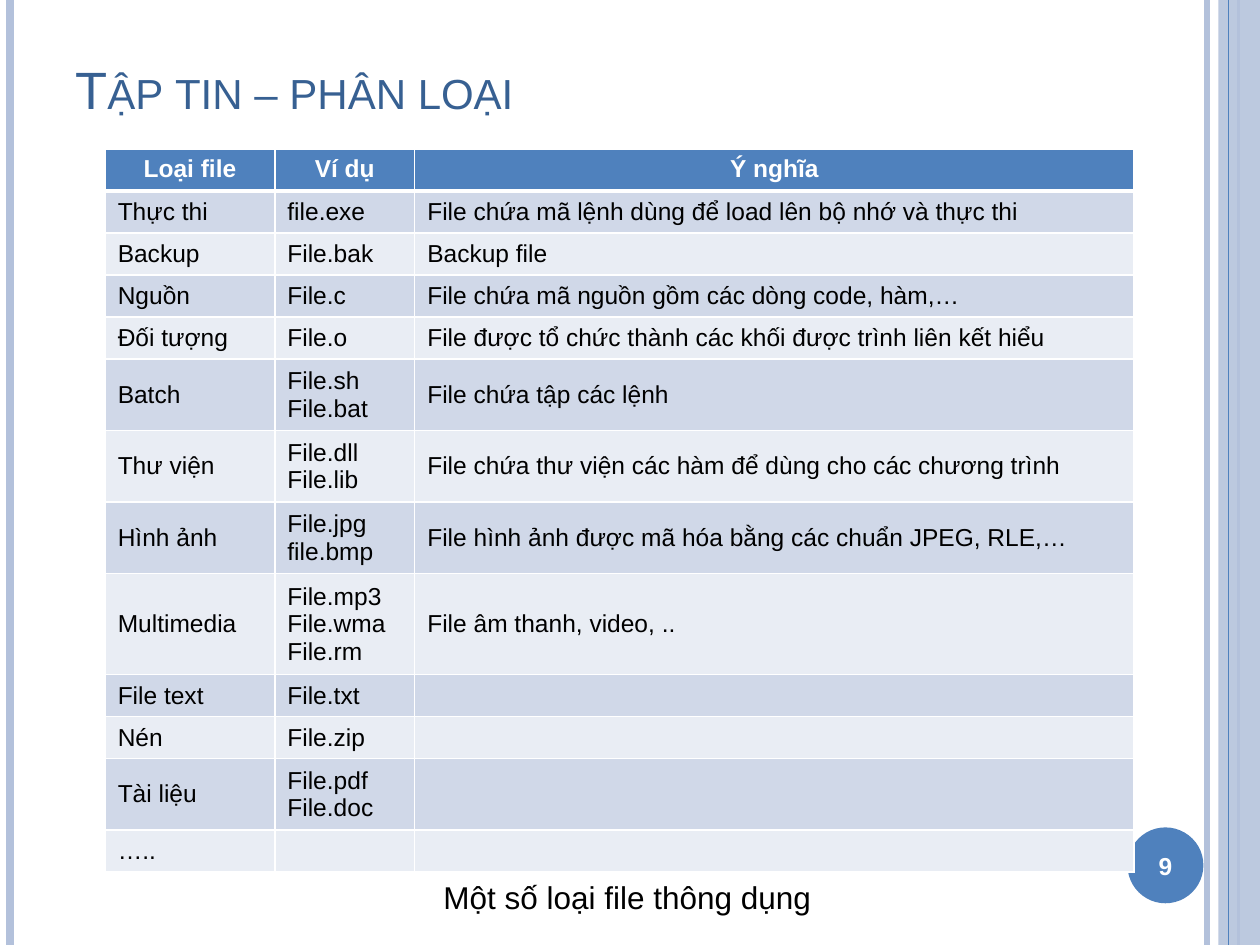
from dataclasses import dataclass

from lxml import etree
from pptx import Presentation
from pptx.dml import color
from pptx.enum import shapes, text
from pptx.oxml import ns
from pptx.util import Cm, Pt


@dataclass(frozen=True)
class Theme:
    font: str = "Arial"
    accent: str = "4F81BD"
    pale: str = "B3C1DB"
    heading: str = "376092"
    bands: tuple = ("E9EDF4", "D0D8E8")
    white: str = "FFFFFF"
    black: str = "000000"
    title_size: int = 30
    caption_size: int = 18
    body_size: int = 14


theme = Theme()


def rgb(code):
    return color.RGBColor.from_string(code)


def write(frame, wording, size, ink, bold=False, align=None):
    """Fill a text frame, one paragraph per line, and format its runs."""
    frame.text = wording
    for para in frame.paragraphs:
        para.alignment = align
        for span in para.runs:
            span.font.name = theme.font
            span.font.size = Pt(size)
            span.font.bold = bold
            span.font.color.rgb = rgb(ink)
        if not para.runs:
            # An empty cell keeps the row at the body size
            end = etree.SubElement(para._p, ns.qn("a:endParaRPr"))
            end.set("sz", str(size * 100))


deck = Presentation()
deck.slide_width, deck.slide_height = Cm(25.4), Cm(19.05)
page = deck.slides.add_slide(deck.slide_layouts[6])

# Side stripes, from back to front
band = page.shapes.add_shape(
    shapes.MSO_SHAPE.RECTANGLE, Cm(24.56), 0, Cm(0.84), deck.slide_height)
band.shadow.inherit = False
band.fill.solid()
band.fill.fore_color.rgb = rgb(theme.pale)
band.line.fill.background()
tint = band._element.spPr.find(".//" + ns.qn("a:srgbClr"))
etree.SubElement(tint, ns.qn("a:alpha")).set("val", "87000")

for left, width, ink in [
    (24.33, 3, theme.pale),
    (0.2, 4.5, theme.pale),
    (24.77, 0.75, theme.accent),
    (24.97, 1.5, theme.pale),
]:
    stripe = page.shapes.add_connector(
        shapes.MSO_CONNECTOR.STRAIGHT, Cm(left), 0, Cm(left), deck.slide_height)
    stripe.line.width = Pt(width)
    stripe.line.color.rgb = rgb(ink)
    etree.SubElement(stripe._element.spPr, ns.qn("a:effectLst"))

# Page number
badge = page.shapes.add_shape(
    shapes.MSO_SHAPE.OVAL, Cm(22.73), Cm(16.68), Cm(1.53), Cm(1.53))
badge.shadow.inherit = False
badge.fill.solid()
badge.fill.fore_color.rgb = rgb(theme.accent)
badge.line.fill.background()
badge.text_frame.vertical_anchor = text.MSO_ANCHOR.MIDDLE
write(badge.text_frame, "9", theme.body_size, theme.white, True, text.PP_ALIGN.CENTER)

# Title in small capitals
title = page.shapes.add_textbox(Cm(1.27), Cm(0.76), Cm(21.39), Cm(1.78))
title.text_frame.word_wrap = True
title.text_frame.vertical_anchor = text.MSO_ANCHOR.BOTTOM
write(title.text_frame, "Tập tin – phân loại", theme.title_size, theme.heading)
title.text_frame.paragraphs[0].runs[0]._r.get_or_add_rPr().set("cap", "small")

# Table of file types
rows = [
    ("Loại file", "Ví dụ", "Ý nghĩa"),
    ("Thực thi", "file.exe", "File chứa mã lệnh dùng để load lên bộ nhớ và thực thi"),
    ("Backup", "File.bak", "Backup file"),
    ("Nguồn", "File.c", "File chứa mã nguồn gồm các dòng code, hàm,…"),
    ("Đối tượng", "File.o", "File được tổ chức thành các khối được trình liên kết hiểu"),
    ("Batch", "File.sh\nFile.bat", "File chứa tập các lệnh"),
    ("Thư viện", "File.dll\nFile.lib",
     "File chứa thư viện các hàm để dùng cho các chương trình"),
    ("Hình ảnh", "File.jpg\nfile.bmp",
     "File hình ảnh được mã hóa bằng các chuẩn JPEG, RLE,…"),
    ("Multimedia", "File.mp3\nFile.wma\nFile.rm", "File âm thanh, video, .."),
    ("File text", "File.txt", ""),
    ("Nén", "File.zip", ""),
    ("Tài liệu", "File.pdf\nFile.doc", ""),
    ("…..", "", ""),
]
widths = [3.42, 2.82, 14.5]
row_height = 0.77
table = page.shapes.add_table(
    len(rows), len(widths), Cm(2.12), Cm(3),
    Cm(sum(widths)), Cm(row_height * len(rows))).table
table.horz_banding = False
for column, width in zip(table.columns, widths):
    column.width = Cm(width)

for row_index, row in enumerate(rows):
    header = row_index == 0
    table.rows[row_index].height = Cm(row_height)
    for column_index, wording in enumerate(row):
        cell = table.cell(row_index, column_index)
        cell.fill.solid()
        cell.fill.fore_color.rgb = rgb(theme.accent if header else theme.bands[row_index % 2])
        if header:
            write(cell.text_frame, wording, theme.body_size, theme.white, True,
                  text.PP_ALIGN.CENTER)
        else:
            cell.vertical_anchor = text.MSO_ANCHOR.MIDDLE
            write(cell.text_frame, wording, theme.body_size, theme.black)
        properties = cell._tc.get_or_add_tcPr()
        for position, side in enumerate("LRTB"):
            thick = (header and side == "B") or (row_index == 1 and side == "T")
            border = etree.Element(ns.qn("a:ln" + side), w=str(Pt(3 if thick else 1)))
            paint = etree.SubElement(border, ns.qn("a:solidFill"))
            etree.SubElement(paint, ns.qn("a:srgbClr")).set("val", theme.white)
            properties.insert(position, border)

# Caption
caption = page.shapes.add_textbox(Cm(8.69), Cm(17.58), Cm(8), Cm(1.02))
caption.text_frame.word_wrap = False
caption.text_frame.auto_size = text.MSO_AUTO_SIZE.SHAPE_TO_FIT_TEXT
write(caption.text_frame, "Một số loại file thông dụng", theme.caption_size, theme.black)

deck.save("out.pptx")
